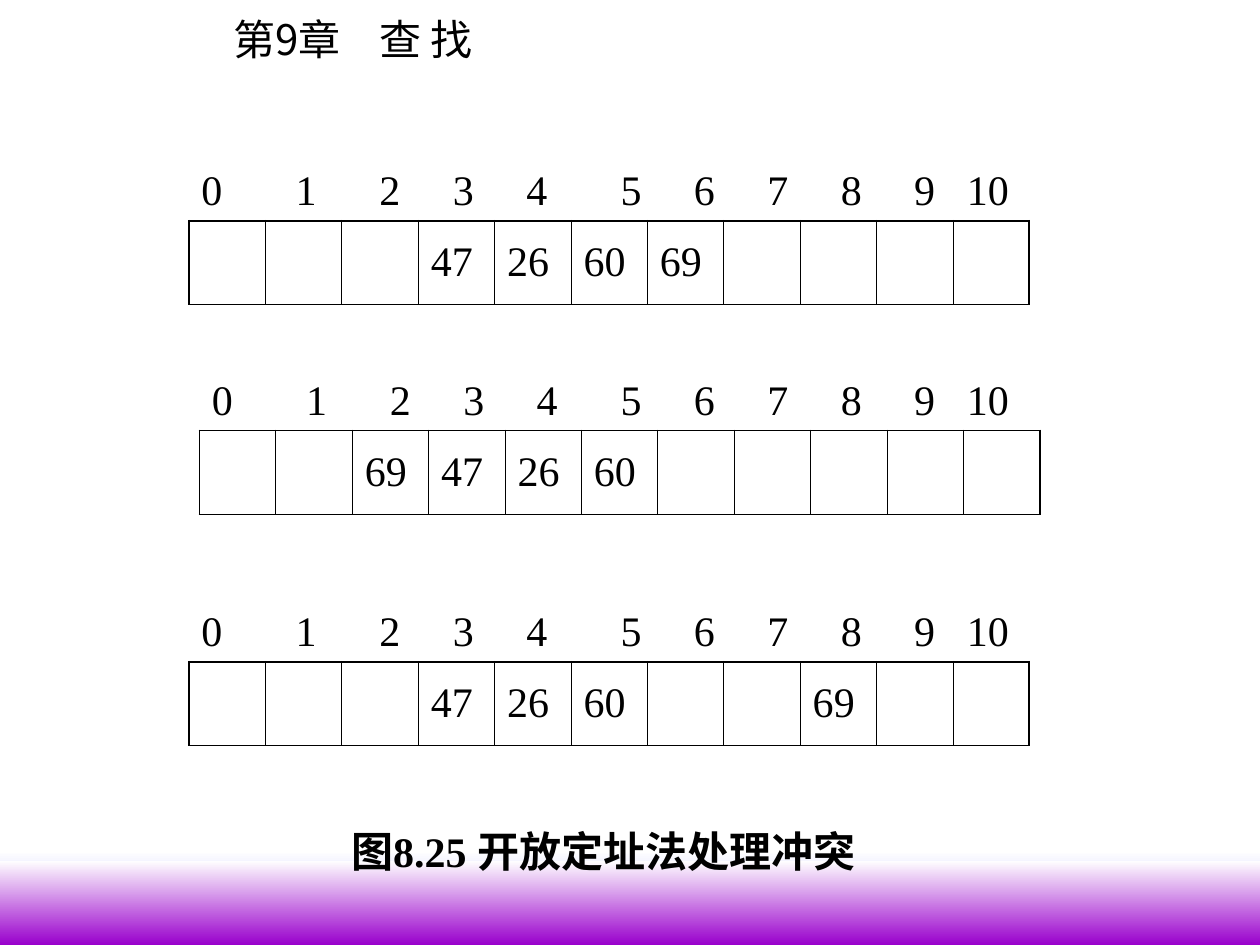
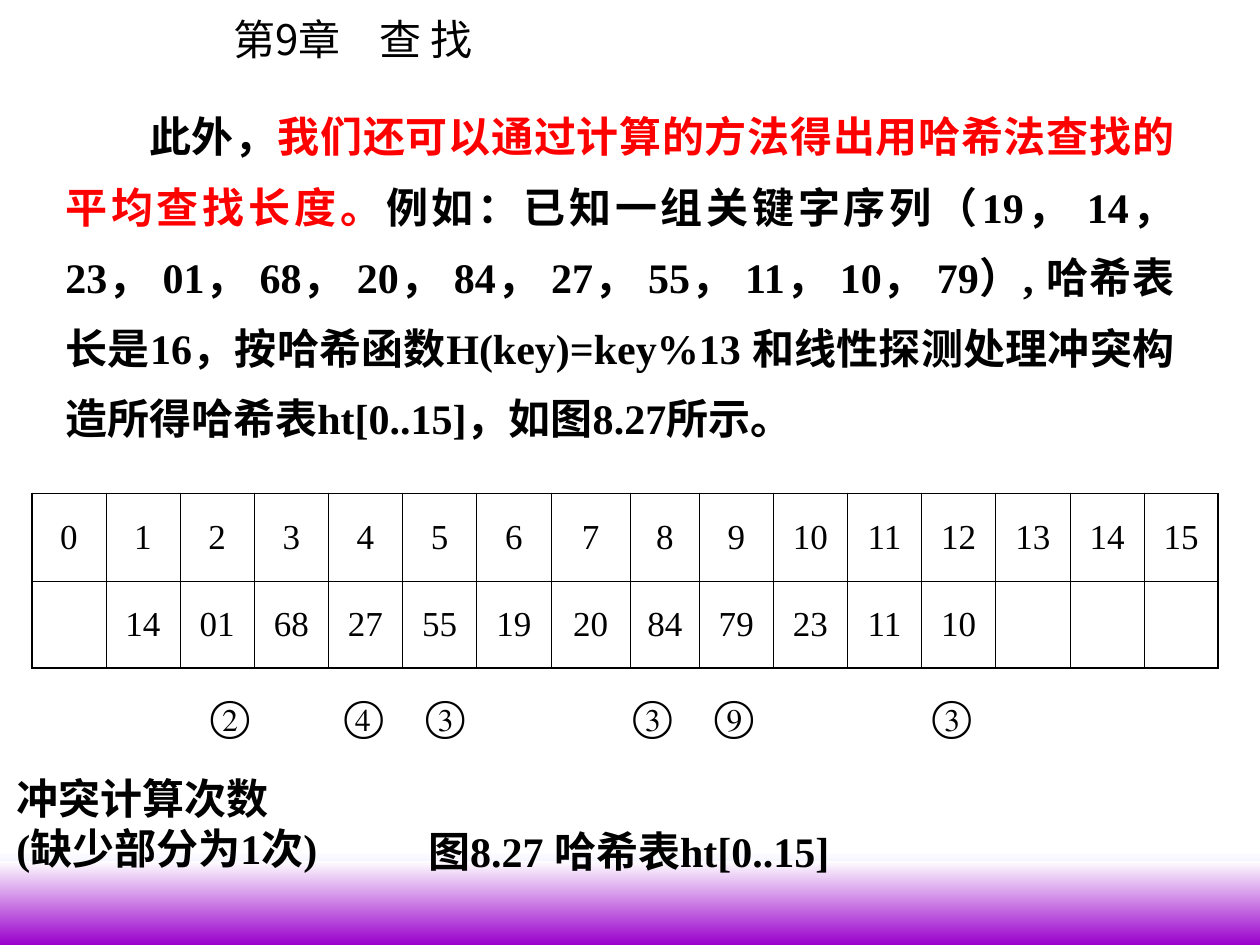
from itertools import accumulate

from lxml import etree
from pptx import Presentation
from pptx.dml.color import RGBColor
from pptx.enum.shapes import MSO_SHAPE
from pptx.enum.text import MSO_ANCHOR, PP_ALIGN
from pptx.oxml.ns import qn
from pptx.util import Cm, Pt

RECT = MSO_SHAPE.RECTANGLE
MIDDLE = MSO_ANCHOR.MIDDLE
LEFT, CENTER, JUSTIFY = PP_ALIGN.LEFT, PP_ALIGN.CENTER, PP_ALIGN.JUSTIFY

WIDTH, HEIGHT = 25.4, 19.05
SERIF, CJK = "Times New Roman", "Noto Sans CJK SC"
BLACK, WHITE, RED = "000000", "FFFFFF", "FF0000"
LILAC, PURPLE = "9999FF", "9900CC"
THICK, THIN = 1.08, 0.45
BLANK_LAYOUT = 6


def rgb(value):
    return RGBColor.from_string(value)


class Deck:
    def __init__(self):
        self.prs = Presentation()
        self.prs.slide_width, self.prs.slide_height = Cm(WIDTH), Cm(HEIGHT)
        self.s = None

    def slide(self):
        self.s = self.prs.slides.add_slide(self.prs.slide_layouts[BLANK_LAYOUT])
        self.band(17.15, LILAC)
        self.band(17.35, PURPLE)
        self.text(4.45, 0.15, 5.54, 1.27, "第9章\t查 找", font=CJK, stops=[2.95])

    def band(self, top, color):
        sp = self.s.shapes.add_shape(RECT, 0, Cm(top), Cm(WIDTH), Cm(HEIGHT - top))
        sp.shadow.inherit = False
        sp.line.fill.background()
        sp.fill.gradient()
        sp.fill.gradient_angle = 270
        for stop, value in zip(sp.fill.gradient_stops, (WHITE, color)):
            stop.color.rgb = rgb(value)

    def style(self, r, size=24, font=SERIF, color=BLACK, bold=False, east=CJK):
        r.font.size, r.font.name, r.font.bold = Pt(size), font, bold
        r.font.color.rgb = rgb(color)
        etree.SubElement(r.font._element, qn("a:ea"), typeface=east)

    def box(self, x, y, w, h):
        tf = self.s.shapes.add_textbox(Cm(x), Cm(y), Cm(w), Cm(h)).text_frame
        tf.word_wrap = True
        return tf

    def text(self, x, y, w, h, text, stops=(), **look):
        tf = self.box(x, y, w, h)
        tf.text = text
        for p in tf.paragraphs:
            if stops:
                tabs = etree.SubElement(p._p.get_or_add_pPr(), qn("a:tabLst"))
                for stop in stops:
                    etree.SubElement(tabs, qn("a:tab"), pos=str(Cm(stop)), algn="l")
            for r in p.runs:
                self.style(r, **look)

    def tabbed(self, x, y, w, items, pitches, **look):
        self.text(x, y, w, 1.27, "\t".join(items), list(accumulate(pitches)), **look)

    def body(self, x, y, w, h, pieces, indent):
        p = self.box(x, y, w, h).paragraphs[0]
        p._p.get_or_add_pPr().set("indent", str(Cm(indent)))
        p.alignment, p.line_spacing = JUSTIFY, 1.4
        for text, font, color in pieces:
            r = p.add_run()
            r.text = text
            self.style(r, font=font, color=color, bold=True)

    def borders(self, cell, sides):
        tcPr = cell._tc.get_or_add_tcPr()
        for side, outer in sides.items():
            ln = etree.SubElement(tcPr, qn(f"a:ln{side}"), w=str(Pt(THICK if outer else THIN)))
            fill = etree.SubElement(ln, qn("a:solidFill"))
            etree.SubElement(fill, qn("a:srgbClr"), val=BLACK)

    def table(self, x, y, widths, row_height, rows, size=24, align=LEFT):
        last_row, last_col = len(rows) - 1, len(widths) - 1
        tbl = self.s.shapes.add_table(len(rows), len(widths), Cm(x), Cm(y), Cm(sum(widths)),
                                      Cm(row_height * len(rows))).table
        tbl.first_row = tbl.horz_banding = False
        for col, width in zip(tbl.columns, widths):
            col.width = Cm(width)
        for i, row in enumerate(rows):
            tbl.rows[i].height = Cm(row_height)
            for j, value in enumerate(row):
                cell = tbl.cell(i, j)
                self.borders(cell, {"L": j == 0, "R": j == last_col,
                                    "T": i == 0, "B": i == last_row})
                cell.fill.background()
                cell.vertical_anchor = MIDDLE
                p = cell.text_frame.paragraphs[0]
                p.text, p.alignment = value, align
                for r in p.runs:
                    self.style(r, size=size)


def probing_slide(deck):
    deck.slide()
    deck.text(6.83, 16.51, 11.25, 1.27, "图8.25 开放定址法处理冲突", bold=True)
    slots = 11
    hash_tables = [
        (3.81, 4.45, 1.9, {3: "47", 4: "26", 5: "60", 6: "69"}),
        (4.02, 8.68, 1.69, {2: "69", 3: "47", 4: "26", 5: "60"}),
        (3.81, 13.34, 1.9, {3: "47", 4: "26", 5: "60", 8: "69"}),
    ]
    for x, y, middle_pitch, keys in hash_tables:
        row = [keys.get(slot, "") for slot in range(slots)]
        deck.table(x, y, [1.54] * slots, 1.69, [row])
        pitches = [1.9, 1.69, 1.48, 1.48, middle_pitch] + [1.48] * 4 + [1.06]
        deck.tabbed(x, y - 1.27, 17.3, map(str, range(slots)), pitches)


def hash_table_slide(deck):
    deck.slide()
    deck.body(1.07, 1.7, 22.86, 7.37, [
        ("此外，", SERIF, BLACK),
        ("我们还可以通过计算的方法得出用哈希法查找的平均查找长度。", CJK, RED),
        ("例如：已知一组关键字序列（19， 14， 23， 01， 68， 20， 84， 27， 55， 11， 10， 79）, "
         "哈希表长是16，按哈希函数H(key)=key%13 和线性探测处理冲突构造所得哈希表ht[0..15]，"
         "如图8.27所示。", SERIF, BLACK),
    ], indent=1.69)
    deck.text(8.38, 16.51, 9.42, 1.27, "图8.27 哈希表ht[0..15]", bold=True)
    slots = 16
    widths = [23.93 / slots] * slots
    widths[7] += 0.11
    widths[8] -= 0.11
    keys = "14 01 68 27 55 19 20 84 79 23 11 10".split()
    rows = [[str(slot) for slot in range(slots)], ["", *keys, "", "", ""]]
    deck.table(0.64, 9.95, widths, 1.76, rows, size=20, align=CENTER)
    deck.text(0.08, 15.44, 7.59, 2.29, "冲突计算次数\n(缺少部分为1次)", bold=True)
    deck.tabbed(3.99, 13.77, 16.05, "②④③③⑨③", [2.7, 1.64, 4.18, 1.64, 4.39], east=SERIF)


def main():
    deck = Deck()
    probing_slide(deck)
    hash_table_slide(deck)
    deck.prs.save("out.pptx")


if __name__ == "__main__":
    main()
